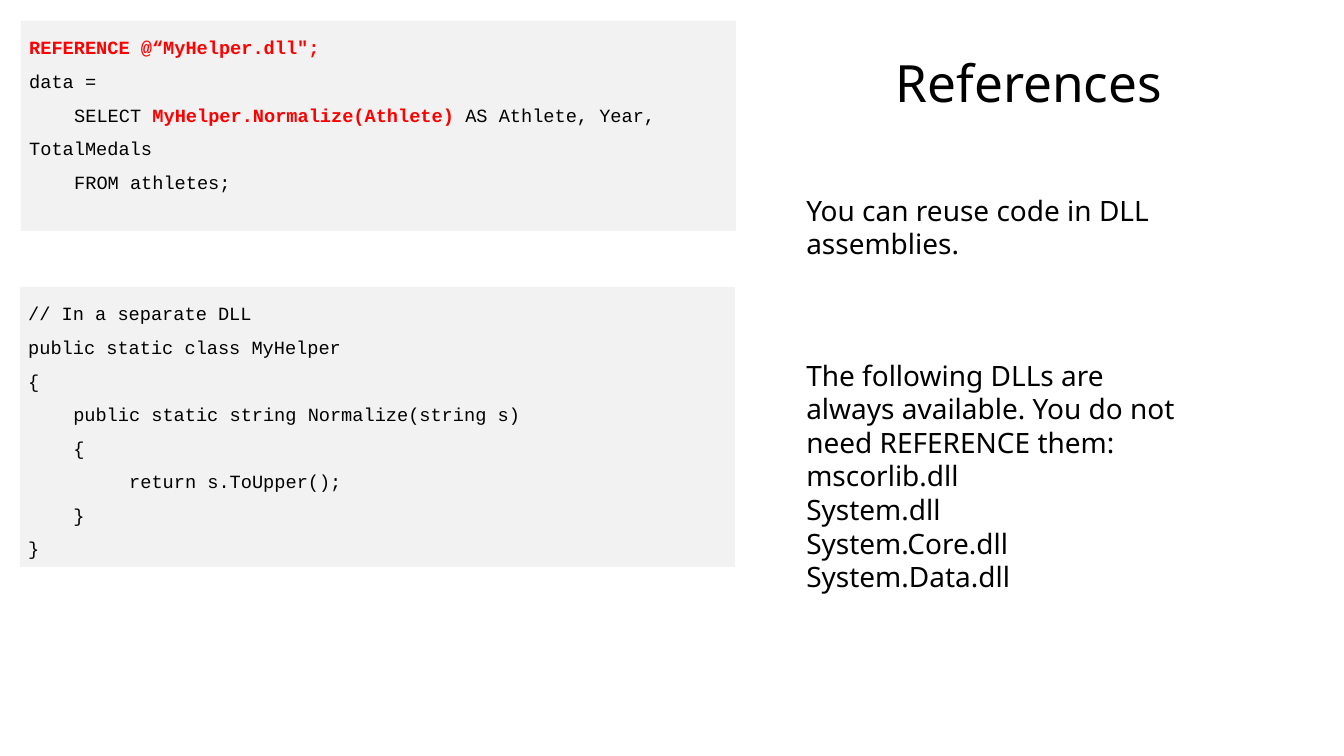
import pptx
import pptx.dml.color
import pptx.enum.shapes
import pptx.enum.text
import pptx.util
from dataclasses import dataclass

PX = 914400 / 84  # EMU per px
LEVEL_ONE, LEVEL_TWO = 45, 101  # code indents in px


@dataclass(frozen=True)
class Theme:
    ink: str = "000000"
    accent: str = "FF0000"
    panel: str = "F2F2F2"
    body_font: str = "Noto Sans"
    code_font: str = "Courier New"
    title_size: int = 44
    body_size: int = 24
    code_size: int = 16


THEME = Theme()


def px(length):
    return pptx.util.Emu(round(length * PX))


def rgb(color):
    return pptx.dml.color.RGBColor.from_string(color)


def write(paragraph, text, *, size, font, color=THEME.ink, bold=False):
    """Add one formatted run to a paragraph."""
    run = paragraph.add_run()
    run.text = text
    run.font.size = pptx.util.Pt(size)
    run.font.name = font
    run.font.bold = bold
    run.font.color.rgb = rgb(color)


def paragraphs(frame, count):
    """Return the frame's first paragraph and as many new ones as needed."""
    return [frame.paragraphs[0]] + [frame.add_paragraph() for _ in range(count - 1)]


def add_title(slide, text, left, top, width, height):
    title = slide.shapes.title
    title.left, title.top = px(left), px(top)
    title.width, title.height = px(width), px(height)
    frame = title.text_frame
    frame.auto_size = pptx.enum.text.MSO_AUTO_SIZE.NONE
    frame.vertical_anchor = pptx.enum.text.MSO_ANCHOR.MIDDLE
    heading = frame.paragraphs[0]
    heading.alignment = pptx.enum.text.PP_ALIGN.CENTER
    heading.line_spacing = 0.9
    write(heading, text, size=THEME.title_size, font=THEME.body_font)


def add_note(slide, lines, left, top, width, height):
    note = slide.shapes.add_textbox(px(left), px(top), px(width), px(height))
    frame = note.text_frame
    frame.word_wrap = True
    for paragraph, line in zip(paragraphs(frame, len(lines)), lines):
        write(paragraph, line, size=THEME.body_size, font=THEME.body_font)


def add_code_panel(slide, lines, left, top, width, height):
    """Each line is (indent, text, ...); odd-numbered text parts are highlighted."""
    panel = slide.shapes.add_shape(
        pptx.enum.shapes.MSO_SHAPE.RECTANGLE, px(left), px(top), px(width), px(height))
    panel.shadow.inherit = False
    panel.fill.solid()
    panel.fill.fore_color.rgb = rgb(THEME.panel)
    panel.line.fill.background()
    frame = panel.text_frame
    frame.word_wrap = True
    frame.vertical_anchor = pptx.enum.text.MSO_ANCHOR.TOP
    for paragraph, (indent, *parts) in zip(paragraphs(frame, len(lines)), lines):
        paragraph.alignment = pptx.enum.text.PP_ALIGN.LEFT
        paragraph.line_spacing = 1.5
        # First-line indent only, so wrapped text returns to the margin
        properties = paragraph._p.get_or_add_pPr()
        properties.set("marL", "0")
        properties.set("indent", str(px(indent)))
        for position, part in enumerate(parts):
            highlighted = position % 2 == 1
            if part:
                write(paragraph, part, size=THEME.code_size, font=THEME.code_font,
                      color=THEME.accent if highlighted else THEME.ink, bold=highlighted)


def main():
    deck = pptx.Presentation()
    deck.slide_width, deck.slide_height = px(1344), px(756)
    slide = deck.slides.add_slide(deck.slide_layouts[5])

    # Query that uses the assembly
    add_code_panel(slide, [
        (0, "", "REFERENCE @“MyHelper.dll\";"),
        (0, "data ="),
        (LEVEL_ONE, "SELECT ", "MyHelper.Normalize(Athlete)",
         " AS Athlete, Year, TotalMedals"),
        (LEVEL_ONE, "FROM athletes;"),
    ], 21, 21, 715, 210)

    # Title and explanations
    add_title(slide, "References", 735, 21, 588, 129)
    add_note(slide, ["You can reuse code in DLL assemblies."], 798, 189, 408, 114)
    add_note(slide, [
        "The following DLLs are always available. You do not need REFERENCE them:",
        "mscorlib.dll",
        "System.dll",
        "System.Core.dll",
        "System.Data.dll",
    ], 798, 354, 408, 77)

    # Helper class inside the assembly
    add_code_panel(slide, [
        (0, "// In a separate DLL"),
        (0, "public static class MyHelper"),
        (0, "{"),
        (LEVEL_ONE, "public static string Normalize(string s)"),
        (LEVEL_ONE, "{"),
        (LEVEL_TWO, "return s.ToUpper();"),
        (LEVEL_ONE, "}"),
        (0, "}"),
    ], 20, 287, 715, 280)

    deck.save("out.pptx")


if __name__ == "__main__":
    main()
